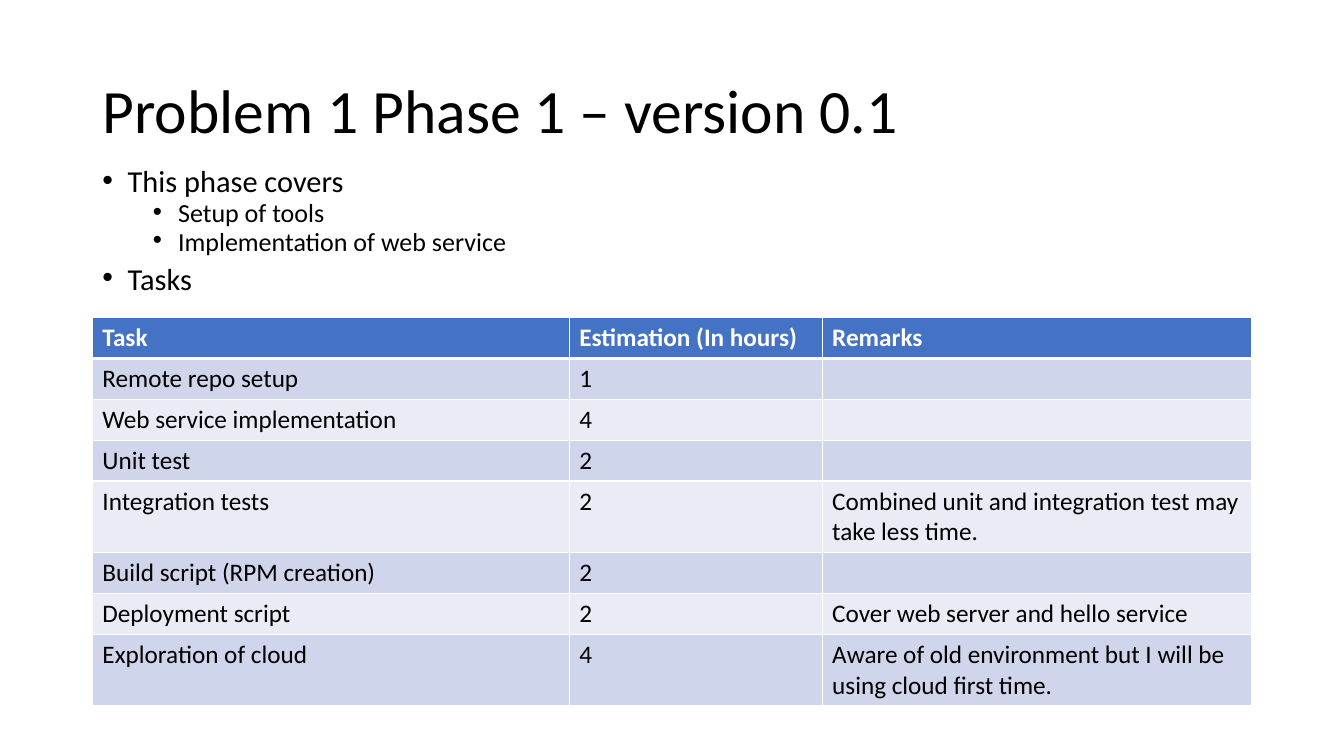
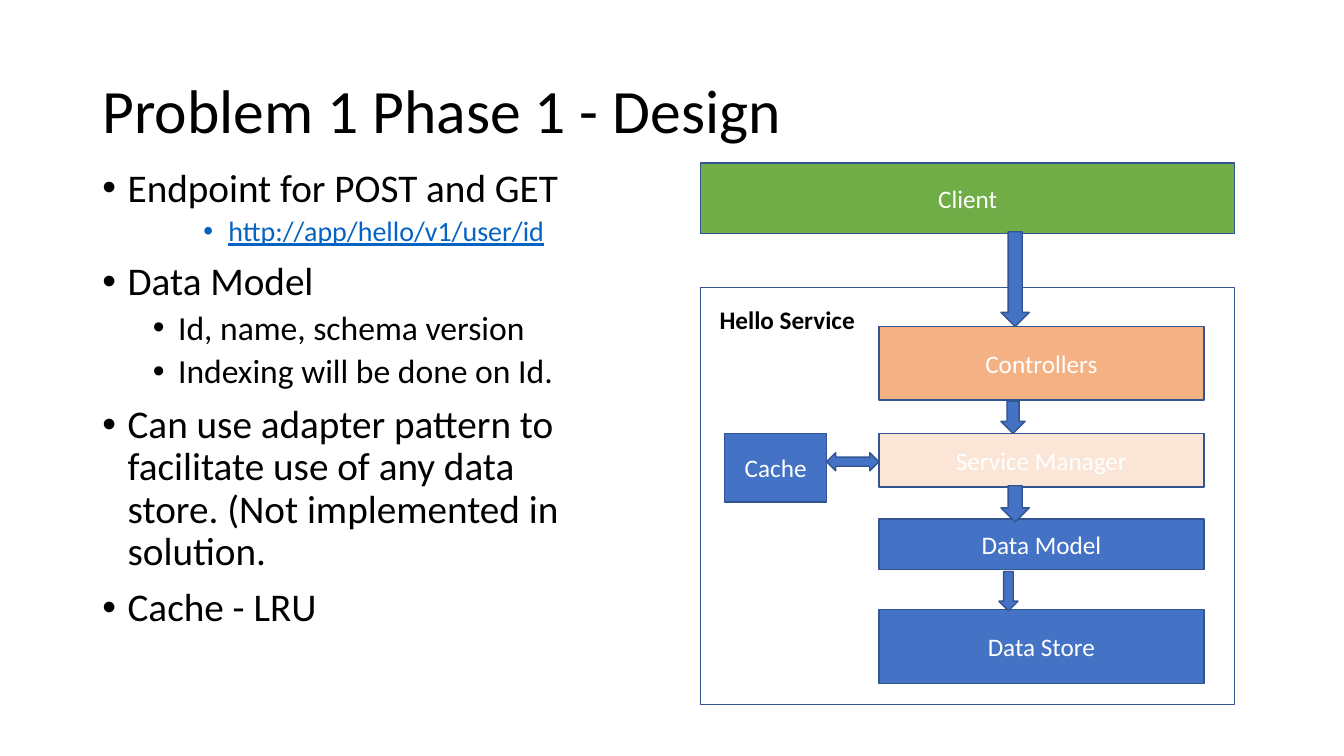
"""Build the phase 1 plan and design slides."""
from dataclasses import dataclass

from lxml.etree import SubElement
from pptx import Presentation
from pptx.dml.color import RGBColor
from pptx.enum.shapes import MSO_SHAPE as Shape
from pptx.enum.text import MSO_ANCHOR as Anchor, MSO_AUTO_SIZE as AutoSize, PP_ALIGN as Align
from pptx.oxml.ns import qn
from pptx.util import Pt


@dataclass(frozen=True)
class Theme:
    font: str = "Calibri"
    black: str = "000000"
    white: str = "FFFFFF"
    blue: str = "4472C4"
    outline: str = "325491"
    green: str = "70AD47"
    orange: str = "F4B183"
    peach: str = "FBE5D6"
    link: str = "0563C1"
    bands: tuple = ("CFD5EA", "E9EBF5")
    title_size: float = 44
    text_size: float = 18
    plan_sizes: tuple = (21.7, 18.6)
    design_sizes: tuple = (28, 24, 20)


THEME = Theme()
SLIDE_SIZE = (960, 540)
TITLE_BOX = (66, 28.8, 828, 104.4)

PLAN = {
    "title": "Problem 1 Phase 1 – version 0.1",
    "box": (66, 119.5, 828, 98),
    "sizes": THEME.plan_sizes,
    "spacing": 0.7,
    "bullets": [
        (0, "This phase covers"),
        (1, "Setup of tools"),
        (1, "Implementation of web service"),
        (0, "Tasks"),
    ],
}
TASK_BOX = (66, 226.8)
TASK_COLUMNS = (340.6, 180.7, 306.7)
TASK_ROW_HEIGHT = 29.2
TASKS = [
    ("Task", "Estimation (In hours)", "Remarks"),
    ("Remote repo setup", "1", ""),
    ("Web service implementation", "4", ""),
    ("Unit test", "2", ""),
    ("Integration tests", "2", "Combined unit and integration test may take less time."),
    ("Build script (RPM creation)", "2", ""),
    ("Deployment script", "2", "Cover web server and hello service"),
    ("Exploration of cloud", "4",
     "Aware of old environment but I will be using cloud first time."),
]

DESIGN = {
    "title": "Problem 1 Phase 1 - Design",
    "box": (66, 116.6, 374.4, 386.6),
    "sizes": THEME.design_sizes,
    "spacing": 0.9,
    "bullets": [
        (0, "Endpoint for POST and GET"),
        (2, "http://app/hello/v1/user/id"),
        (0, "Data Model"),
        (1, "Id, name, schema version"),
        (1, "Indexing will be done on Id."),
        (0, "Can use adapter pattern to facilitate use of any data store. "
            "(Not implemented in solution."),
        (0, "Cache - LRU"),
    ],
}
PANEL_LEFT, PANEL_WIDTH = 500.4, 381.6
LAYER_LEFT, LAYER_WIDTH = 627.8, 232.2
SERVICE_PANEL = (PANEL_LEFT, 205.2, PANEL_WIDTH, 298.1)
SERVICE_LABEL = ("Hello Service", (506.9, 213.8, 133.2, 29))
CLIENT = ("Client", (PANEL_LEFT, 116.6, PANEL_WIDTH, 50.4), THEME.green)
CACHE = ("Cache", (517.7, 309.6, 72.7, 49), THEME.blue)
LAYERS = [
    ("Controllers", 233.3, 52.6, THEME.orange),
    ("Service Manager", 309.6, 38.2, THEME.peach),
    ("Data Model", 370.8, 36, THEME.blue),
    ("Data Store", 435.6, 52.6, THEME.blue),
]
ARROWS = [
    (Shape.DOWN_ARROW, (715, 165.6, 20.2, 67.7)),
    (Shape.DOWN_ARROW, (715, 286.6, 17.3, 23)),
    (Shape.DOWN_ARROW, (715, 347, 20.2, 25.9)),
    (Shape.DOWN_ARROW, (713.5, 408.2, 13.7, 28.1)),
    (Shape.LEFT_RIGHT_ARROW, (590.4, 323.3, 37.4, 13)),
]


def apply(target, **values):
    for name, value in values.items():
        setattr(target, name, value)


def points(box):
    return [Pt(length) for length in box]


def place(shape, box):
    apply(shape, **dict(zip(("left", "top", "width", "height"), points(box))))


def style_font(paragraph, size, color, **extra):
    apply(paragraph.font, name=THEME.font, size=Pt(size), **extra)
    paragraph.font.color.rgb = RGBColor.from_string(color)


def fill_solid(item, color):
    item.fill.solid()
    item.fill.fore_color.rgb = RGBColor.from_string(color)


def add_bullet(paragraph, level, text, sizes, spacing):
    is_link = text.startswith("http")
    paragraph.text = text
    apply(paragraph, level=level, line_spacing=spacing,
          space_before=Pt(5 if level else 10), alignment=Align.LEFT)
    properties = paragraph._p.get_or_add_pPr()
    properties.set("marL", str(Pt(18 + 36 * level)))
    properties.set("indent", str(-Pt(18)))
    SubElement(properties, qn("a:buFont")).set("typeface", "Arial")
    SubElement(properties, qn("a:buChar")).set("char", "•")
    run = paragraph.runs[0]
    style_font(run, sizes[level], THEME.link if is_link else THEME.black, underline=is_link)


def add_content_slide(presentation, content):
    slide = presentation.slides.add_slide(presentation.slide_layouts[1])
    title, body = slide.shapes.title, slide.placeholders[1]
    place(title, TITLE_BOX)
    title.text_frame.text = content["title"]
    apply(title.text_frame, vertical_anchor=Anchor.MIDDLE, auto_size=AutoSize.NONE)
    heading = title.text_frame.paragraphs[0]
    apply(heading, alignment=Align.LEFT, line_spacing=0.9)
    style_font(heading.runs[0], THEME.title_size, THEME.black)

    place(body, content["box"])
    apply(body.text_frame, vertical_anchor=Anchor.TOP, auto_size=AutoSize.NONE)
    for index, (level, text) in enumerate(content["bullets"]):
        frame = body.text_frame
        paragraph = frame.add_paragraph() if index else frame.paragraphs[0]
        add_bullet(paragraph, level, text, content["sizes"], content["spacing"])
    return slide


def add_borders(cell, widths):
    properties = cell._tc.get_or_add_tcPr()
    for side, width in widths.items():
        line = SubElement(properties, qn(f"a:ln{side}"), w=str(Pt(width)))
        fill = SubElement(line, qn("a:solidFill"))
        SubElement(fill, qn("a:srgbClr"), val=THEME.white)


def add_task_table(slide):
    size = (sum(TASK_COLUMNS), TASK_ROW_HEIGHT * len(TASKS))
    table = slide.shapes.add_table(
        len(TASKS), len(TASK_COLUMNS), *points(TASK_BOX + size)).table
    for column, width in zip(table.columns, TASK_COLUMNS):
        column.width = Pt(width)
    for row_index, row in enumerate(TASKS):
        table.rows[row_index].height = Pt(TASK_ROW_HEIGHT)
        header = row_index == 0
        band = THEME.blue if header else THEME.bands[(row_index - 1) % 2]
        for column_index, text in enumerate(row):
            cell = table.cell(row_index, column_index)
            cell.text = text
            add_borders(cell, {"L": 1, "R": 1, "T": 3 if row_index == 1 else 1,
                               "B": 3 if header else 1})
            fill_solid(cell, band)
            style_font(cell.text_frame.paragraphs[0], THEME.text_size,
                       THEME.white if header else THEME.black, bold=header)


def add_block(slide, kind, box, color=None, text=""):
    block = slide.shapes.add_shape(kind, *points(box))
    block.shadow.inherit = False
    block.line.width = Pt(1)
    block.line.color.rgb = RGBColor.from_string(THEME.outline)
    if color:
        fill_solid(block, color)
    else:
        block.fill.background()
    if text:
        block.text_frame.text = text
        block.text_frame.vertical_anchor = Anchor.MIDDLE
        paragraph = block.text_frame.paragraphs[0]
        paragraph.alignment = Align.CENTER
        style_font(paragraph, THEME.text_size, THEME.white)


def add_service_diagram(slide):
    add_block(slide, Shape.RECTANGLE, SERVICE_PANEL)
    layers = [(text, (LAYER_LEFT, top, LAYER_WIDTH, height), color)
              for text, top, height, color in LAYERS]
    for text, box, color in [CLIENT, CACHE, *layers]:
        add_block(slide, Shape.RECTANGLE, box, color, text)
    for kind, box in ARROWS:
        add_block(slide, kind, box, THEME.blue)
    text, box = SERVICE_LABEL
    frame = slide.shapes.add_textbox(*points(box)).text_frame
    apply(frame, word_wrap=True, text=text)
    style_font(frame.paragraphs[0], THEME.text_size, THEME.black, bold=True)


def main():
    presentation = Presentation()
    width, height = points(SLIDE_SIZE)
    apply(presentation, slide_width=width, slide_height=height)
    add_task_table(add_content_slide(presentation, PLAN))
    add_service_diagram(add_content_slide(presentation, DESIGN))
    presentation.save("out.pptx")


if __name__ == "__main__":
    main()
